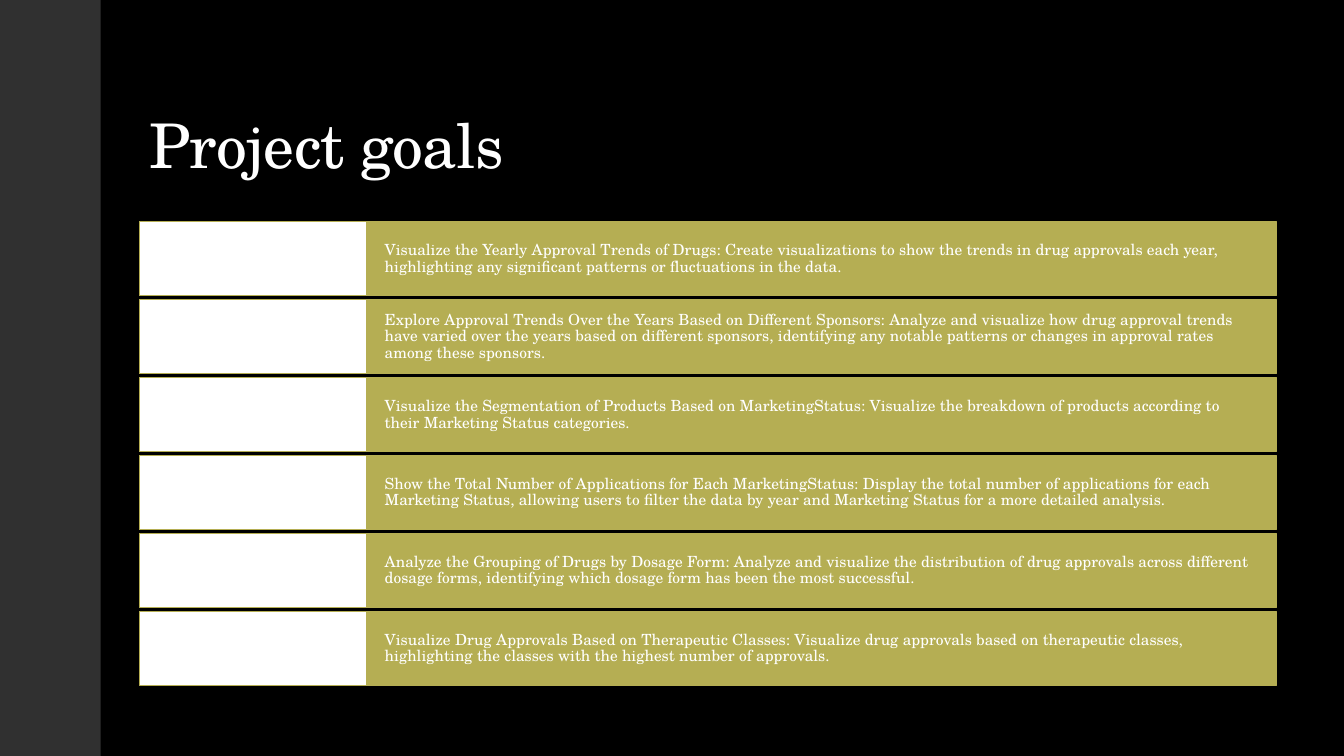
from dataclasses import dataclass

from pptx import Presentation
from pptx.dml.color import RGBColor
from pptx.enum.shapes import MSO_SHAPE as Shape
from pptx.enum.text import MSO_ANCHOR as Anchor, MSO_AUTO_SIZE as AutoSize, PP_ALIGN as Align
from pptx.util import Inches, Pt

# Content
TITLE = "Project goals"
GOALS = [
    "Visualize the Yearly Approval Trends of Drugs: Create visualizations to show the trends in drug "
    "approvals each year, highlighting any significant patterns or fluctuations in the data.",
    "Explore Approval Trends Over the Years Based on Different Sponsors: Analyze and visualize how drug "
    "approval trends have varied over the years based on different sponsors, identifying any notable "
    "patterns or changes in approval rates among these sponsors.",
    "Visualize the Segmentation of Products Based on MarketingStatus: Visualize the breakdown of "
    "products according to their Marketing Status categories.",
    "Show the Total Number of Applications for Each MarketingStatus: Display the total number of "
    "applications for each Marketing Status, allowing users to filter the data by year and Marketing "
    "Status for a more detailed analysis.",
    "Analyze the Grouping of Drugs by Dosage Form: Analyze and visualize the distribution of drug "
    "approvals across different dosage forms, identifying which dosage form has been the most successful.",
    "Visualize Drug Approvals Based on Therapeutic Classes: Visualize drug approvals based on "
    "therapeutic classes, highlighting the classes with the highest number of approvals.",
]


@dataclass(frozen=True)
class Theme:
    background: RGBColor = RGBColor(0x00, 0x00, 0x00)
    sidebar: RGBColor = RGBColor(0x30, 0x30, 0x30)
    accent: RGBColor = RGBColor(0xB5, 0xAE, 0x53)
    light: RGBColor = RGBColor(0xFF, 0xFF, 0xFF)
    font: str = "TeX Gyre Schola"
    title_size: int = 44
    goal_size: int = 11
    line_spacing: float = 0.9


THEME = Theme()

# Layout in inches
SLIDE_WIDTH, SLIDE_HEIGHT = 13.33, 7.5
LEFT, RIGHT = 1.38, 12.66
ROWS_TOP, ROWS_BOTTOM, ROW_GAP = 2.2, 6.8, 0.04
LABEL_WIDTH = (RIGHT - LEFT) / 5
ROW_HEIGHT = (ROWS_BOTTOM - ROWS_TOP + ROW_GAP) / len(GOALS) - ROW_GAP


def add_rectangle(slide, left, top, width, height, fill, line=None):
    shape = slide.shapes.add_shape(
        Shape.RECTANGLE, Inches(left), Inches(top), Inches(width), Inches(height))
    shape.shadow.inherit = False
    shape.fill.solid()
    shape.fill.fore_color.rgb = fill
    if line is None:
        shape.line.fill.background()
    else:
        shape.line.color.rgb = line
        shape.line.width = Pt(0.75)
    return shape


def write_text(shape, text, size, anchor):
    frame = shape.text_frame
    frame.text = text
    frame.word_wrap = True
    frame.auto_size = AutoSize.NONE
    frame.vertical_anchor = anchor
    paragraph = frame.paragraphs[0]
    paragraph.alignment = Align.LEFT
    paragraph.line_spacing = THEME.line_spacing
    font = paragraph.runs[0].font
    font.name = THEME.font
    font.size = Pt(size)
    font.color.rgb = THEME.light
    return frame


def add_title(slide):
    title = slide.shapes.title
    title.left, title.top = Inches(LEFT), Inches(0.4)
    title.width, title.height = Inches(RIGHT - LEFT), Inches(1.45)
    frame = write_text(title, TITLE, THEME.title_size, Anchor.BOTTOM)
    # Letter spacing in hundredths of a point
    frame.paragraphs[0].runs[0].font._element.set("spc", "-50")


def add_goal(slide, index, goal):
    top = ROWS_TOP + index * (ROW_HEIGHT + ROW_GAP)
    band_left = LEFT + LABEL_WIDTH
    band = add_rectangle(slide, band_left, top, RIGHT - band_left, ROW_HEIGHT,
                         THEME.accent, THEME.accent)
    frame = write_text(band, goal, THEME.goal_size, Anchor.MIDDLE)
    frame.margin_left = frame.margin_right = Inches(0.18)
    frame.margin_top = frame.margin_bottom = Inches(0.19)
    add_rectangle(slide, LEFT, top, LABEL_WIDTH, ROW_HEIGHT, THEME.light, THEME.accent)


def main():
    presentation = Presentation()
    presentation.slide_width = Inches(SLIDE_WIDTH)
    presentation.slide_height = Inches(SLIDE_HEIGHT)
    slide = presentation.slides.add_slide(presentation.slide_layouts.get_by_name("Title Only"))

    # Background and sidebar
    slide.background.fill.solid()
    slide.background.fill.fore_color.rgb = THEME.background
    add_rectangle(slide, 0, 0, 1, SLIDE_HEIGHT, THEME.sidebar)

    # Title and goal rows
    add_title(slide)
    for index, goal in enumerate(GOALS):
        add_goal(slide, index, goal)

    presentation.save("out.pptx")


if __name__ == "__main__":
    main()
